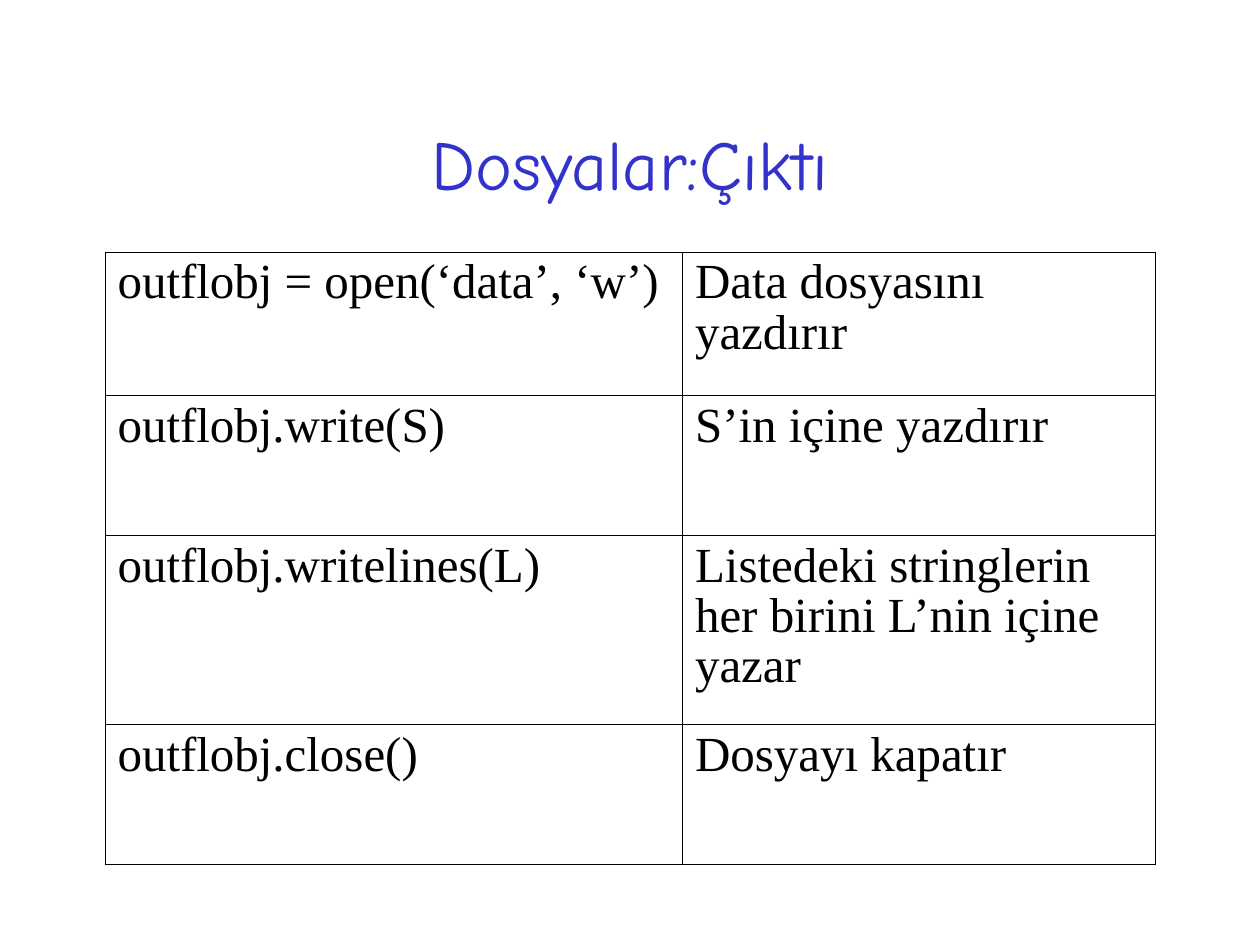
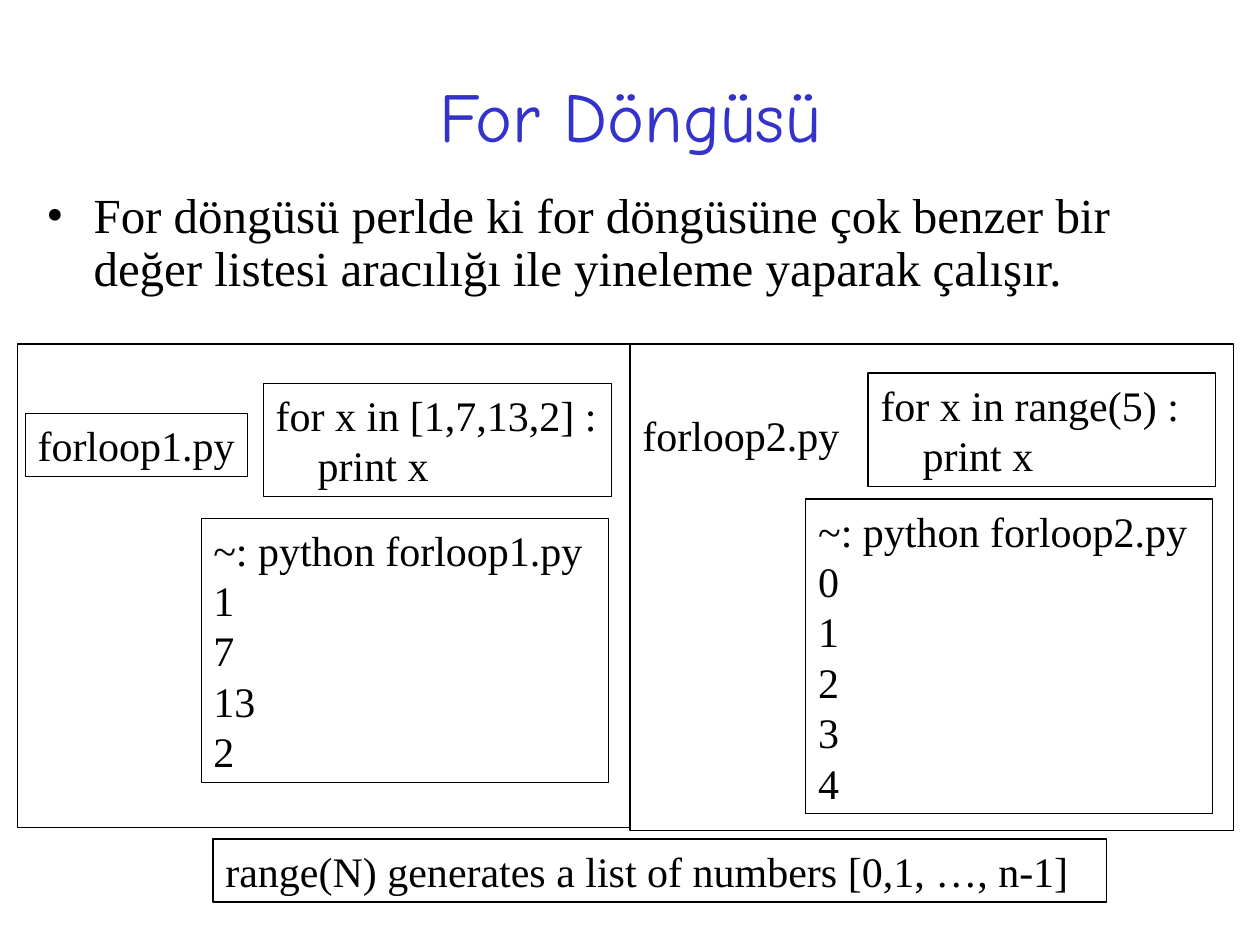
from dataclasses import dataclass
from lxml.etree import SubElement
from pptx import Presentation
from pptx.dml.color import RGBColor as RGB
from pptx.enum.shapes import MSO_SHAPE as Shape
from pptx.enum.text import MSO_ANCHOR as Anchor, MSO_AUTO_SIZE as Fit, PP_ALIGN as Align
from pptx.oxml.ns import qn
from pptx.util import Pt


@dataclass(frozen=True)
class Theme:
    blue: RGB = RGB(0x33, 0x33, 0xCC)
    black: RGB = RGB(0, 0, 0)
    head: str = "Comic Neue"
    body: str = "Times New Roman"
    title: int = 40
    text: int = 28
    code: int = 24
    inner: float = 0.23
    outer: float = 0.5
    thin: float = 0.25
    thick: float = 0.75


THEME = Theme()

CALLS = [
    ("outflobj = open(‘data’, ‘w’)", "Data dosyasını yazdırır"),
    ("outflobj.write(S)", "S’in içine yazdırır"),
    ("outflobj.writelines(L)", "Listedeki stringlerin her birini L’nin içine yazar"),
    ("outflobj.close()", "Dosyayı kapatır"),
]


# Text
def style(para, size, font=THEME.body, color=THEME.black):
    for run in para.runs:
        run.font.size = Pt(size)
        run.font.name = font
        run.font.color.rgb = color


def indent(para, left, first=0):
    props = para._p.get_or_add_pPr()
    props.set("marL", str(Pt(left)))
    props.set("indent", str(Pt(first)))
    return props


def add_text(slide, box, text):
    frame = slide.shapes.add_textbox(*map(Pt, box)).text_frame
    frame.word_wrap = True
    frame.text = text
    return frame


def add_title(slide, top, height, text):
    frame = add_text(slide, (54, top, 612, height), text)
    frame.vertical_anchor = Anchor.MIDDLE
    para = frame.paragraphs[0]
    para.alignment = Align.CENTER
    style(para, THEME.title, THEME.head, THEME.blue)


def add_bullet(slide, box, text):
    para = add_text(slide, box, text).paragraphs[0]
    para.line_spacing = 0.9
    para.space_before = Pt(7)
    props = indent(para, 27, -27)
    SubElement(props, qn("a:buFont"), typeface=THEME.body)
    SubElement(props, qn("a:buChar"), char="•")
    style(para, THEME.text)


# Frames and code
def add_frame(slide, box, weight):
    rect = slide.shapes.add_shape(Shape.RECTANGLE, *map(Pt, box))
    rect.shadow.inherit = False
    rect.fill.background()
    rect.line.color.rgb = THEME.black
    rect.line.width = Pt(weight)
    return rect


def add_code(slide, box, lines, weight=None, wrap=True):
    if weight:
        frame = add_frame(slide, box, weight).text_frame
    else:
        frame = add_text(slide, box, "")
    frame.word_wrap = wrap
    frame.auto_size = Fit.SHAPE_TO_FIT_TEXT
    frame.vertical_anchor = Anchor.TOP
    frame.text = "\n".join(lines)
    for para in frame.paragraphs:
        para.alignment = Align.LEFT
        style(para, THEME.code)
    return frame


def add_demo(slide, left, top, name, loop, result, drop, weight, tag):
    """Place a script name, its loop and its output; drop is the output's offset."""
    height = 7.2 + 28.8 * (len(result) + 1)
    add_code(slide, (left + 100.4, top + drop, 232.6, height),
             [f"~: python {name}", *result], weight)
    frame = add_code(slide, (left + 136.1, top, 198.7, 64.8), [loop, "print x"], weight)
    indent(frame.paragraphs[1], 24)
    add_code(slide, (left, top + 17.3, 127, 36), [name], tag, wrap=False)


# Table
def add_edge(cell, side, weight):
    line = SubElement(cell._tc.get_or_add_tcPr(), qn(f"a:ln{side}"), w=str(Pt(weight)))
    fill = SubElement(line, qn("a:solidFill"))
    SubElement(fill, qn("a:srgbClr"), val=str(THEME.black))


def add_grid(slide, left, top, widths, heights, rows):
    table = slide.shapes.add_table(
        len(rows), len(widths),
        *map(Pt, (left, top, sum(widths), sum(heights)))).table
    table.first_row = table.horz_banding = False
    for col, width in zip(table.columns, widths):
        col.width = Pt(width)
    for r, (height, row) in enumerate(zip(heights, rows)):
        table.rows[r].height = Pt(height)
        for c, text in enumerate(row):
            cell = table.cell(r, c)
            rim = {"L": c == 0, "R": c == len(row) - 1,
                   "T": r == 0, "B": r == len(rows) - 1}
            for side, out in rim.items():
                add_edge(cell, side, THEME.outer if out else THEME.inner)
            cell.fill.background()
            cell.text_frame.text = text
            para = cell.text_frame.paragraphs[0]
            para.line_spacing = 0.93
            para.space_before = Pt(7)
            style(para, THEME.text)


# Slides
def file_slide(slide):
    add_title(slide, 48, 90, "Dosyalar:Çıktı")
    add_grid(slide, 60, 144, (330, 270), (82, 80, 108, 80), CALLS)


def loop_slide(slide):
    add_title(slide, 31.7, 67.7, "For Döngüsü")
    add_bullet(slide, (19.4, 105.8, 686.2, 56.9),
               "For döngüsü perlde ki for döngüsüne çok benzer bir değer "
               "listesi aracılığı ile yineleme yaparak çalışır.")
    add_demo(slide, 14.4, 218.9, "forloop1.py", "for x in [1,7,13,2] :",
             ["1", "7", "13", "2"], 77, THEME.thin, THEME.thin)
    add_demo(slide, 360, 213.1, "forloop2.py", "for x in range(5) :",
             [str(n) for n in range(5)], 72, THEME.thick, None)
    add_code(slide, (121.7, 479.5, 510.5, 36),
             ["range(N) generates a list of numbers [0,1, …, n-1]"], THEME.thick)
    add_frame(slide, (10.1, 196.6, 349.9, 276.5), THEME.thick)
    add_frame(slide, (360, 196.6, 344.9, 277.9), THEME.thick)


def main():
    deck = Presentation()
    deck.slide_width, deck.slide_height = Pt(720), Pt(540)
    for build in (file_slide, loop_slide):
        build(deck.slides.add_slide(deck.slide_layouts[6]))
    deck.save("out.pptx")


if __name__ == "__main__":
    main()
